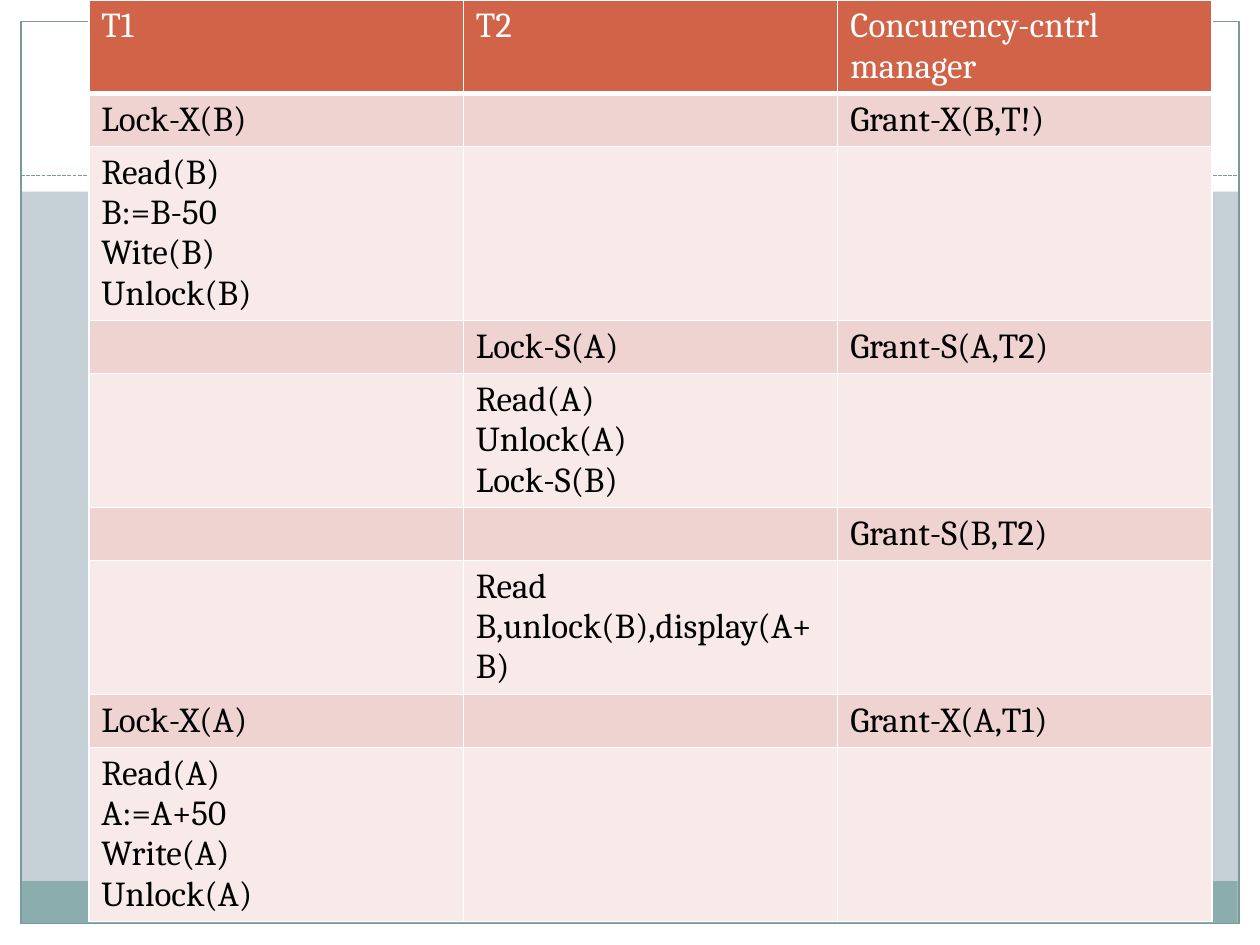
from lxml import etree
from pptx import Presentation
from pptx.dml.color import RGBColor
from pptx.enum import dml, shapes
from pptx.oxml import ns
from pptx.util import Pt

WHITE, TEAL, FRAME = "FFFFFF", "8CADAE", "7C999A"
HEADER, BANDS = "D16349", ("F7EAE9", "EED3D0")

SCHEDULE = [
    ("T1", "T2", "Concurency-cntrl manager"),
    ("Lock-X(B)", "", "Grant-X(B,T!)"),
    ("Read(B)\nB:=B-50\nWite(B)\nUnlock(B)", "", ""),
    ("", "Lock-S(A)", "Grant-S(A,T2)"),
    ("", "Read(A)\nUnlock(A)\nLock-S(B)", ""),
    ("", "", "Grant-S(B,T2)"),
    ("", "Read B,unlock(B),display(A+B)", ""),
    ("Lock-X(A)", "", "Grant-X(A,T1)"),
    ("Read(A)\nA:=A+50\nWrite(A)\nUnlock(A)", "", ""),
]
LINES = (2, 1, 4, 1, 3, 1, 3, 1, 4)


def color(value):
    return RGBColor.from_string(value)


class Builder:
    font, size = "Cambria", 20
    line_height, cell_margins = 23.1, 7.2

    def __init__(self, page):
        self.page = page

    def background(self, fill):
        self.page.background.fill.solid()
        self.page.background.fill.fore_color.rgb = color(fill)

    def shape(self, kind, left, top, width, height, fill=None, line=None, weight=0.75):
        box = self.page.shapes.add_shape(kind, Pt(left), Pt(top), Pt(width), Pt(height))
        box.shadow.inherit = False
        if fill:
            box.fill.solid()
            box.fill.fore_color.rgb = color(fill)
        else:
            box.fill.background()
        if line:
            box.line.color.rgb = color(line)
            box.line.width = Pt(weight)
        else:
            box.line.fill.background()

    def dashed_line(self, left, right, top, line):
        rule = self.page.shapes.add_connector(
            shapes.MSO_CONNECTOR.STRAIGHT, Pt(left), Pt(top), Pt(right), Pt(top))
        rule.line.color.rgb = color(line)
        rule.line.width = Pt(0.75)
        rule.line.dash_style = dml.MSO_LINE.SQUARE_DOT
        etree.SubElement(rule._element.spPr, ns.qn("a:effectLst"))

    def borders(self, cell, bottom):
        properties = cell._tc.get_or_add_tcPr()
        for side, weight in (("L", 1), ("R", 1), ("T", 1), ("B", bottom)):
            edge = etree.SubElement(properties, ns.qn(f"a:ln{side}"), w=str(Pt(weight)))
            solid = etree.SubElement(edge, ns.qn("a:solidFill"))
            etree.SubElement(solid, ns.qn("a:srgbClr"), val=WHITE)

    def cell(self, cell, words, fill, ink, bottom):
        cell.text = words
        self.borders(cell, bottom)
        cell.fill.solid()
        cell.fill.fore_color.rgb = color(fill)
        for para in cell.text_frame.paragraphs:
            para.font.name = self.font
            para.font.size = Pt(self.size)
            para.font.bold = False
            para.font.color.rgb = color(ink)

    def table(self, left, top, width, rows, line_counts):
        heights = [self.cell_margins + self.line_height * count for count in line_counts]
        columns = len(rows[0])
        table = self.page.shapes.add_table(
            len(rows), columns, Pt(left), Pt(top), Pt(width), Pt(sum(heights))).table
        for column in table.columns:
            column.width = Pt(width / columns)
        for index, (words, height) in enumerate(zip(rows, heights)):
            table.rows[index].height = Pt(height)
            style = (HEADER, WHITE, 3) if index == 0 else (BANDS[index % 2], "000000", 1)
            for position, entry in enumerate(words):
                self.cell(table.cell(index, position), entry, *style)


def main():
    deck = Presentation()
    deck.slide_width, deck.slide_height = Pt(720), Pt(540)
    builder = Builder(deck.slides.add_slide(deck.slide_layouts[6]))
    rectangle, oval = shapes.MSO_SHAPE.RECTANGLE, shapes.MSO_SHAPE.OVAL

    builder.background("C5D1D7")
    for edge in ((0, 528, 720, 12), (0, 0, 720, 109.5), (0, 0, 12, 540), (708, 0, 12, 540)):
        builder.shape(rectangle, *edge, fill=WHITE)
    builder.shape(rectangle, 11.75, 503.5, 695.5, 24.4, fill=TEAL)
    builder.shape(rectangle, 12, 12.25, 696, 515.5, line=FRAME)
    builder.dashed_line(12, 708, 100.5, FRAME)
    builder.shape(oval, 336, 75.5, 48, 48, fill=WHITE)
    builder.shape(oval, 343.5, 83, 33, 33, fill=WHITE, line=FRAME, weight=4)
    builder.table(50.75, 0, 642, SCHEDULE, LINES)

    deck.save("out.pptx")


if __name__ == "__main__":
    main()
